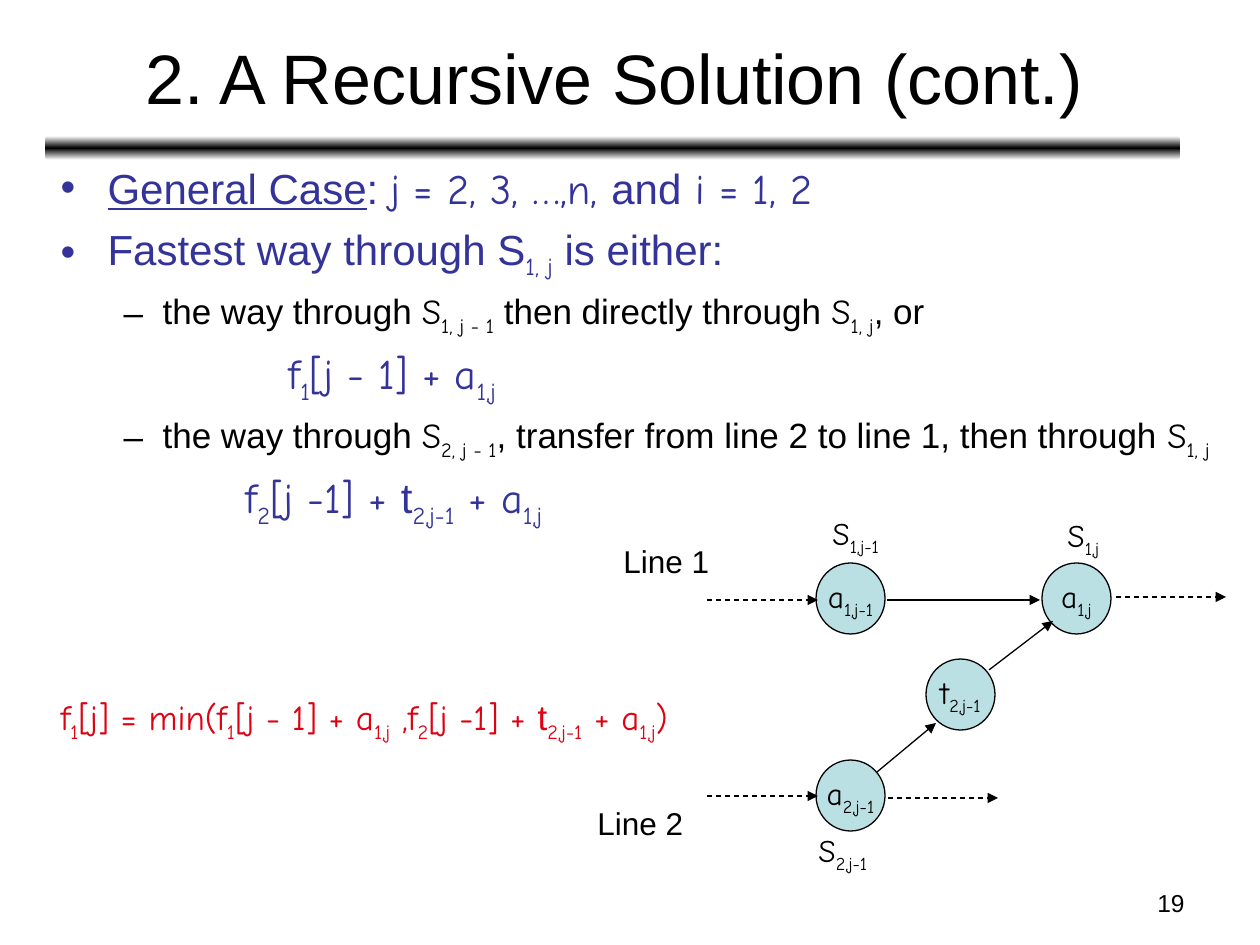
from copy import deepcopy
from dataclasses import dataclass

from lxml import etree
from pptx import Presentation
from pptx.dml.color import RGBColor
from pptx.enum.dml import MSO_LINE
from pptx.enum.shapes import MSO_CONNECTOR, MSO_SHAPE
from pptx.enum.text import MSO_ANCHOR, MSO_AUTO_SIZE, PP_ALIGN
from pptx.oxml.ns import qn
from pptx.util import Emu, Pt

LEFT, CENTER, RIGHT = PP_ALIGN.LEFT, PP_ALIGN.CENTER, PP_ALIGN.RIGHT
TOP, MIDDLE = MSO_ANCHOR.TOP, MSO_ANCHOR.MIDDLE
DASH = MSO_LINE.DASH
EMU_PER_PX = 914400 / 126


@dataclass(frozen=True)
class Theme:
    black: str = "000000"
    white: str = "FFFFFF"
    blue: str = "333399"
    red: str = "DD0111"
    node: str = "BBE0E3"
    sans: str = "Arial"
    math: str = "Comic Neue"
    title: int = 40
    large: int = 24
    medium: int = 20
    label: int = 18
    number: int = 14
    line: float = 0.75


THEME = Theme()


@dataclass(frozen=True)
class Run:
    text: str
    font: str = THEME.sans
    sub: bool = False
    underline: bool = False


def px(n):
    return Emu(round(n * EMU_PER_PX))


def rgb(value):
    return RGBColor.from_string(value)


def math(*parts):
    """Make math runs in which every second part is a subscript."""
    return [Run(part, THEME.math, sub=i % 2 == 1) for i, part in enumerate(parts)]


def add_runs(p, runs, size, color):
    for run in runs:
        r = p.add_run()
        r.text = run.text
        r.font.name = run.font
        r.font.size = Pt(size)
        r.font.color.rgb = rgb(color)
        if run.underline:
            r.font.underline = True
        if run.sub:
            r.font._element.set("baseline", "-25000")


def set_indent(p, left, hanging=0, bullet=None, color=THEME.black):
    pPr = p._p.get_or_add_pPr()
    pPr.set("marL", str(px(left)))
    pPr.set("indent", str(-px(hanging)))
    if bullet is None:
        etree.SubElement(pPr, qn("a:buNone"))
        return
    bu_color = etree.SubElement(pPr, qn("a:buClr"))
    etree.SubElement(bu_color, qn("a:srgbClr"), val=color)
    etree.SubElement(pPr, qn("a:buFont"), typeface=THEME.sans)
    etree.SubElement(pPr, qn("a:buChar"), char=bullet)


def place(sp, x, y, w, h):
    sp.left, sp.top, sp.width, sp.height = px(x), px(y), px(w), px(h)


def fill_title(sp, text):
    place(sp, 47, 14, 1134, 125)
    tf = sp.text_frame
    tf.auto_size = MSO_AUTO_SIZE.NONE
    tf.vertical_anchor = MIDDLE
    p = tf.paragraphs[0]
    p.alignment = CENTER
    add_runs(p, [Run(text)], THEME.title, THEME.black)


def fill_body(sp):
    place(sp, 48, 156, 1212, 736)
    tf = sp.text_frame
    tf.auto_size = MSO_AUTO_SIZE.NONE
    tf.vertical_anchor = TOP
    t = THEME
    point = dict(left=47, hanging=47, bullet="•", color=t.blue)
    subpoint = dict(left=102, hanging=39, bullet="–")
    # Runs, size, colour, space before, indent
    rows = [
        ([Run("General Case", underline=True), Run(": "), *math("j = 2, 3, …,n, "),
          Run("and"), *math(" i = 1, 2")], t.large, t.blue, 0, point),
        ([Run("Fastest way through S"), Run("1, j", t.math, sub=True),
          Run(" is either:")], t.large, t.blue, 6, point),
        ([Run("the way through "), *math("S", "1, j - 1"),
          Run(" then directly through "), *math("S", "1, j"), Run(", or")],
         t.medium, t.black, 5, subpoint),
        (math("f", "1", "[j - 1] + a", "1,j"), t.large, t.blue, 6, dict(left=228)),
        ([Run("the way through "), *math("S", "2, j - 1"),
          Run(", transfer from line 2 to line 1, then through "), *math("S", "1, j")],
         t.medium, t.black, 5, subpoint),
        ([*math("f", "2", "[j -1] + "), Run("t"), Run("2,j-1", t.math, sub=True),
          *math(" + a", "1,j")], t.large, t.blue, 6, dict(left=185)),
        ([*math("f", "1", "[j] = min(f", "1", "[j - 1] + a", "1,j", " ,f", "2", "[j -1] + "),
          Run("t"), Run("2,j-1", t.math, sub=True), *math(" + a", "1,j", ")")],
         t.medium, t.red, 95, dict(left=0)),
    ]
    for i, (runs, size, color, before, indent) in enumerate(rows):
        p = tf.add_paragraph() if i else tf.paragraphs[0]
        set_indent(p, **indent)
        p.space_before = Pt(before)
        add_runs(p, runs, size, color)


def add_title_rule(slide):
    sp = slide.shapes.add_shape(MSO_SHAPE.ROUNDED_RECTANGLE, px(45), px(136), px(1135), px(24))
    sp.shadow.inherit = False
    sp.line.fill.background()
    sp.fill.gradient()
    sp.fill.gradient_angle = 90
    first, second = sp.fill.gradient_stops
    first.color.rgb = rgb(THEME.white)
    first.position = 0
    second.color.rgb = rgb(THEME.black)
    second.position = 0.5
    last = deepcopy(first._gs)
    last.set("pos", "100000")
    second._gs.addnext(last)


def add_label(slide, x, y, w, h, runs, size=THEME.label, align=LEFT):
    tf = slide.shapes.add_textbox(px(x), px(y), px(w), px(h)).text_frame
    tf.word_wrap = align == RIGHT
    p = tf.paragraphs[0]
    p.alignment = align
    add_runs(p, runs, size, THEME.black)


def add_node(slide, x, y, runs):
    sp = slide.shapes.add_shape(MSO_SHAPE.OVAL, px(x), px(y), px(69), px(71))
    sp.shadow.inherit = False
    sp.fill.solid()
    sp.fill.fore_color.rgb = rgb(THEME.node)
    sp.line.color.rgb = rgb(THEME.black)
    sp.line.width = Pt(THEME.line)
    tf = sp.text_frame
    tf.word_wrap = False
    tf.vertical_anchor = MIDDLE
    p = tf.paragraphs[0]
    p.alignment = CENTER
    add_runs(p, runs, THEME.label, THEME.black)


def add_arrow(slide, x1, y1, x2, y2, dash=None):
    line = slide.shapes.add_connector(MSO_CONNECTOR.STRAIGHT, px(x1), px(y1), px(x2), px(y2))
    line.line.color.rgb = rgb(THEME.black)
    line.line.width = Pt(THEME.line)
    if dash:
        line.line.dash_style = dash
    etree.SubElement(line.line._get_or_add_ln(), qn("a:tailEnd"), type="triangle")
    etree.SubElement(line._element.spPr, qn("a:effectLst"))


def add_station_diagram(slide):
    col1, col2, row1, row2 = 816, 1042, 563, 760
    for x, y, name, index in [(col2, row1, "a", "1,j"), (col1, row1, "a", "1,j-1"),
                              (col1, row2, "a", "2,j-1"), (926, 659, "t", "2,j-1")]:
        add_node(slide, x, y, math(name, index))
    for x, y, w, index in [(1055, 510, 57, "1,j"), (820, 508, 72, "1,j-1"),
                           (806, 825, 74, "2,j-1")]:
        add_label(slide, x, y, w, 55, math("S", index))
    for x, y, text in [(611, 536, "Line 1"), (585, 798, "Line 2")]:
        add_label(slide, x, y, 111, 50, [Run(text)])
    for ends in [(707, 600, 818, 600), (707, 796, 818, 796),
                 (1116, 597, 1226, 597), (888, 798, 998, 798)]:
        add_arrow(slide, *ends, dash=DASH)
    for ends in [(887, 600, 1040, 600), (877, 772, 936, 723), (989, 670, 1053, 621)]:
        add_arrow(slide, *ends)


def main():
    prs = Presentation()
    prs.slide_width, prs.slide_height = px(1260), px(945)
    slide = prs.slides.add_slide(prs.slide_layouts[1])
    add_title_rule(slide)
    fill_title(slide.shapes.title, "2. A Recursive Solution (cont.)")
    fill_body(slide.placeholders[1])
    add_station_diagram(slide)
    add_label(slide, 903, 882, 294, 44, [Run("19")], THEME.number, RIGHT)
    prs.save("out.pptx")


if __name__ == "__main__":
    main()
